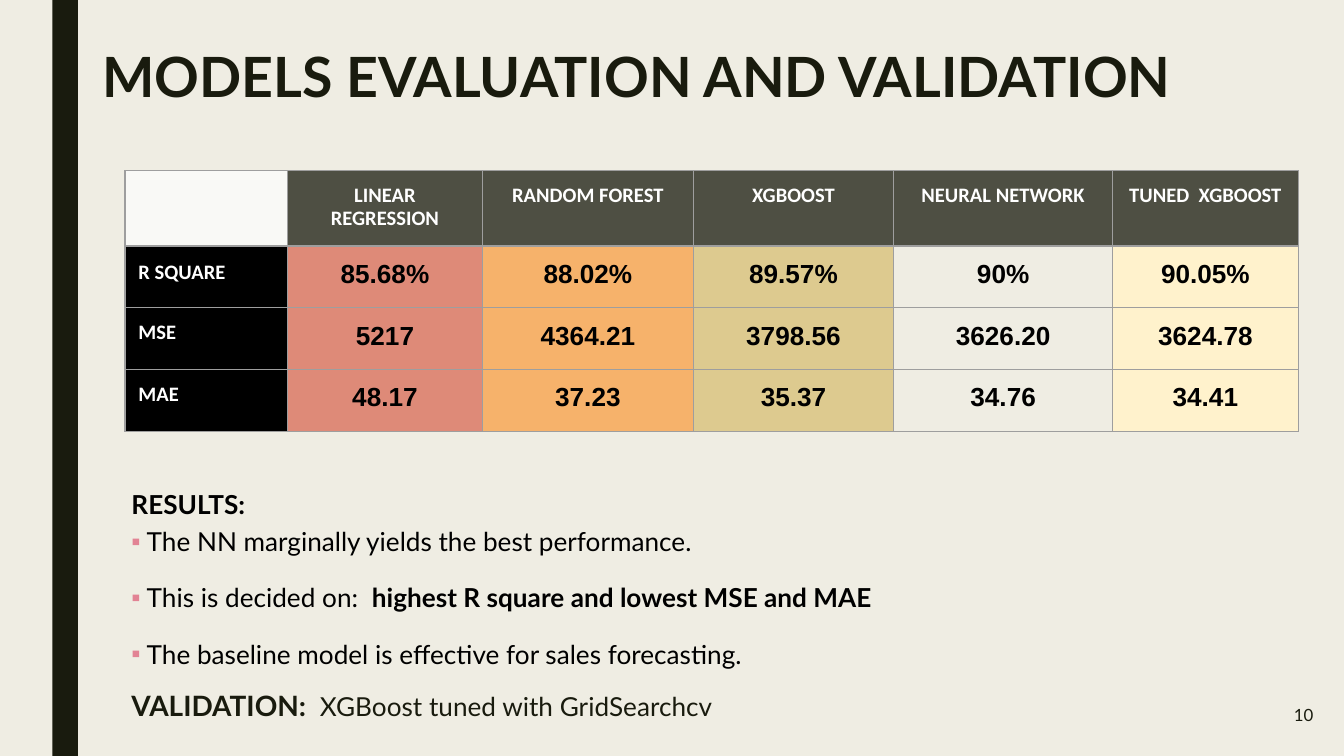
from lxml.etree import SubElement
from pptx import Presentation
from pptx.dml.color import RGBColor
from pptx.enum.shapes import MSO_SHAPE
from pptx.enum.text import MSO_ANCHOR, MSO_AUTO_SIZE, PP_ALIGN
from pptx.oxml.ns import qn
from pptx.util import Inches, Pt

WIDTH = 10
HEIGHT = WIDTH * 9 / 16
INSET = Inches(0.1)

CREAM = RGBColor(0xEF, 0xED, 0xE3)
INK = RGBColor(0x19, 0x1B, 0x0E)
BLACK = RGBColor(0, 0, 0)
WHITE = RGBColor(0xFF, 0xFF, 0xFF)
OFF_WHITE = RGBColor(0xF9, 0xF9, 0xF6)
GREY = RGBColor(0x9E, 0x9E, 0x9E)
PINK = RGBColor(0xE2, 0x83, 0x94)
RED = RGBColor(0xDD, 0x7E, 0x6B)
ORANGE = RGBColor(0xF6, 0xB2, 0x6B)
GOLD = RGBColor(0xBF, 0x90, 0x00)
YELLOW = RGBColor(0xFF, 0xF2, 0xCC)

COLUMN_WIDTHS = [1.21, 1.45, 1.57, 1.49, 1.63, 1.38]
ROW_HEIGHTS = [0.56, 0.46, 0.46, 0.46]
COLUMN_FILLS = [(BLACK, 100), (RED, 89), (ORANGE, 100), (GOLD, 37), (CREAM, 100), (YELLOW, 100)]
SCORES = [
    ["", "LINEAR REGRESSION", "RANDOM FOREST", "XGBOOST", "NEURAL NETWORK", "TUNED  XGBOOST"],
    ["R SQUARE", "85.68%", "88.02%", "89.57%", "90%", "90.05%"],
    ["MSE", "5217", "4364.21", "3798.56", "3626.20", "3624.78"],
    ["MAE", "48.17", "37.23", "35.37", "34.76", "34.41"],
]
FINDINGS = [
    [(" The NN marginally yields the best performance.", False)],
    [(" This is decided on:  ", False), ("highest R square and lowest MSE and MAE", True)],
    [(" The baseline model is effective for sales forecasting.", False)],
]


def area(left, top, width, height):
    return (Inches(left * WIDTH), Inches(top * HEIGHT), Inches(width * WIDTH), Inches(height * HEIGHT))


def write(para, text, size=14, font="Lato", color=BLACK, bold=False, align=PP_ALIGN.LEFT, spacing=1.0, before=0):
    para.alignment = align
    para.line_spacing = spacing
    para.space_before = Pt(before)
    span = para.add_run()
    span.text = text
    span.font.size = Pt(size)
    span.font.name = font
    span.font.bold = bold
    span.font.color.rgb = color


def set_margins(target):
    target.margin_left = target.margin_right = INSET
    target.margin_top = target.margin_bottom = INSET


def prepare_frame(frame, anchor):
    set_margins(frame)
    frame.word_wrap = True
    frame.auto_size = MSO_AUTO_SIZE.NONE
    frame.vertical_anchor = anchor


def add_box(page, place):
    frame = page.shapes.add_textbox(*place).text_frame
    prepare_frame(frame, MSO_ANCHOR.MIDDLE)
    return frame


def add_color(parent, color):
    solid = SubElement(parent, qn("a:solidFill"))
    SubElement(solid, qn("a:srgbClr"), val=str(color))


def add_bullet(para):
    properties = para._p.get_or_add_pPr()
    properties.set("marL", "0")
    properties.set("indent", str(-Inches(0.09)))
    bullet_color = SubElement(properties, qn("a:buClr"))
    SubElement(bullet_color, qn("a:srgbClr"), val=str(PINK))
    SubElement(properties, qn("a:buFont"), typeface="Arial")
    SubElement(properties, qn("a:buChar"), char="▪")


def add_side_bar(page):
    bar = page.shapes.add_shape(MSO_SHAPE.RECTANGLE, *area(0.039, 0, 0.019, 1))
    bar.shadow.inherit = False
    bar.fill.solid()
    bar.fill.fore_color.rgb = INK
    bar.line.fill.background()


def set_title(page, text):
    title = page.shapes.title
    title.left, title.top, title.width, title.height = area(0.066, 0.048, 0.9, 0.137)
    prepare_frame(title.text_frame, MSO_ANCHOR.TOP)
    write(title.text_frame.paragraphs[0], text, size=29.7, color=INK, bold=True, spacing=0.89)


def style_cell(cell, color, opacity):
    set_margins(cell)
    properties = cell._tc.get_or_add_tcPr()
    for side in ("lnL", "lnR", "lnT", "lnB"):
        add_color(SubElement(properties, qn(f"a:{side}"), w=str(Pt(0.75))), GREY)
    cell.fill.solid()
    cell.fill.fore_color.rgb = color
    if opacity < 100:
        tint = properties.find(qn("a:solidFill"))[0]
        SubElement(tint, qn("a:alpha"), val=str(opacity * 1000))


def cell_fill(row, column):
    if row:
        return COLUMN_FILLS[column]
    return (INK, 75) if column else (OFF_WHITE, 100)


def add_score_table(page):
    place = area(0.093, 0.226, 0.872, 0.345)
    table = page.shapes.add_table(len(ROW_HEIGHTS), len(COLUMN_WIDTHS), *place).table
    table.first_row = table.horz_banding = False
    for column, width in zip(table.columns, COLUMN_WIDTHS):
        column.width = Inches(width)
    for row, height in zip(table.rows, ROW_HEIGHTS):
        row.height = Inches(height)
    for row, texts in enumerate(SCORES):
        for column, text in enumerate(texts):
            cell = table.cell(row, column)
            style_cell(cell, *cell_fill(row, column))
            if not text:
                continue
            para = cell.text_frame.paragraphs[0]
            align = PP_ALIGN.CENTER if column else PP_ALIGN.LEFT
            if row and column:
                write(para, text, font="Arial", bold=True, align=align)
            else:
                spacing = 1.0 if row == 1 else 0.9
                write(para, text, size=11, font="Calibri", color=WHITE, bold=True, align=align, spacing=spacing)


def add_results(page):
    frame = add_box(page, area(0.088, 0.594, 0.621, 0.404))
    write(frame.paragraphs[0], "RESULTS:", bold=True, spacing=1.2)
    for index, finding in enumerate(FINDINGS):
        para = frame.add_paragraph()
        para.line_spacing = 1.2
        para.space_before = Pt(0)
        add_bullet(para)
        for text, bold in finding:
            write(para, text, bold=bold, spacing=1.2, before=10 if index else 0)
    para = frame.add_paragraph()
    write(para, "VALIDATION:  ", size=15, color=INK, bold=True, before=10)
    write(para, "XGBoost tuned with GridSearchcv", color=INK, before=10)


def add_page_number(page, number):
    frame = add_box(page, area(0.927, 0.907, 0.06, 0.077))
    write(frame.paragraphs[0], number, size=9, color=INK, align=PP_ALIGN.RIGHT)


def main():
    deck = Presentation()
    deck.slide_width, deck.slide_height = Inches(WIDTH), Inches(HEIGHT)
    page = deck.slides.add_slide(deck.slide_layouts[5])
    page.background.fill.solid()
    page.background.fill.fore_color.rgb = CREAM
    add_side_bar(page)
    set_title(page, "MODELS EVALUATION AND VALIDATION")
    add_page_number(page, "10")
    add_score_table(page)
    add_results(page)
    deck.save("out.pptx")


if __name__ == "__main__":
    main()
